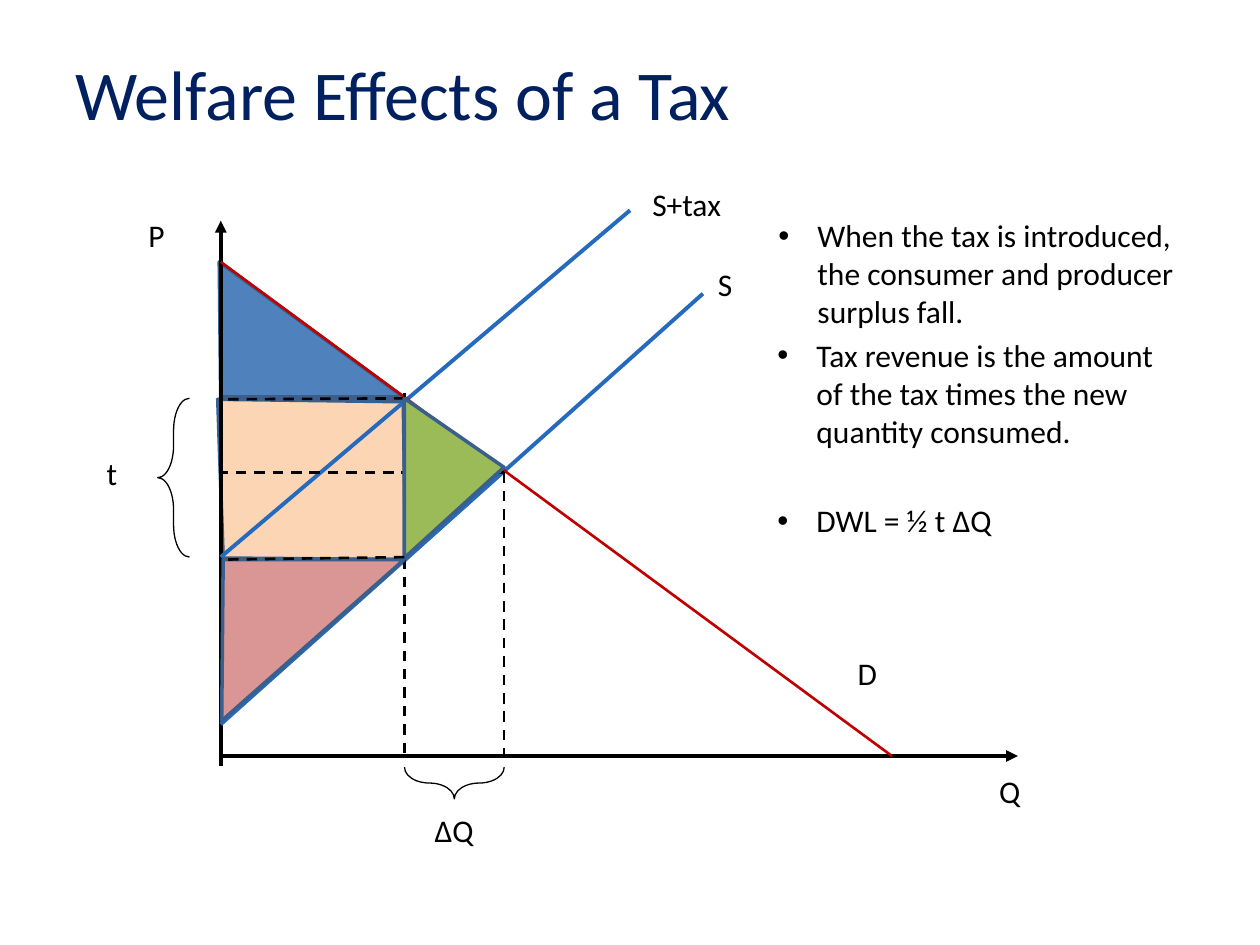
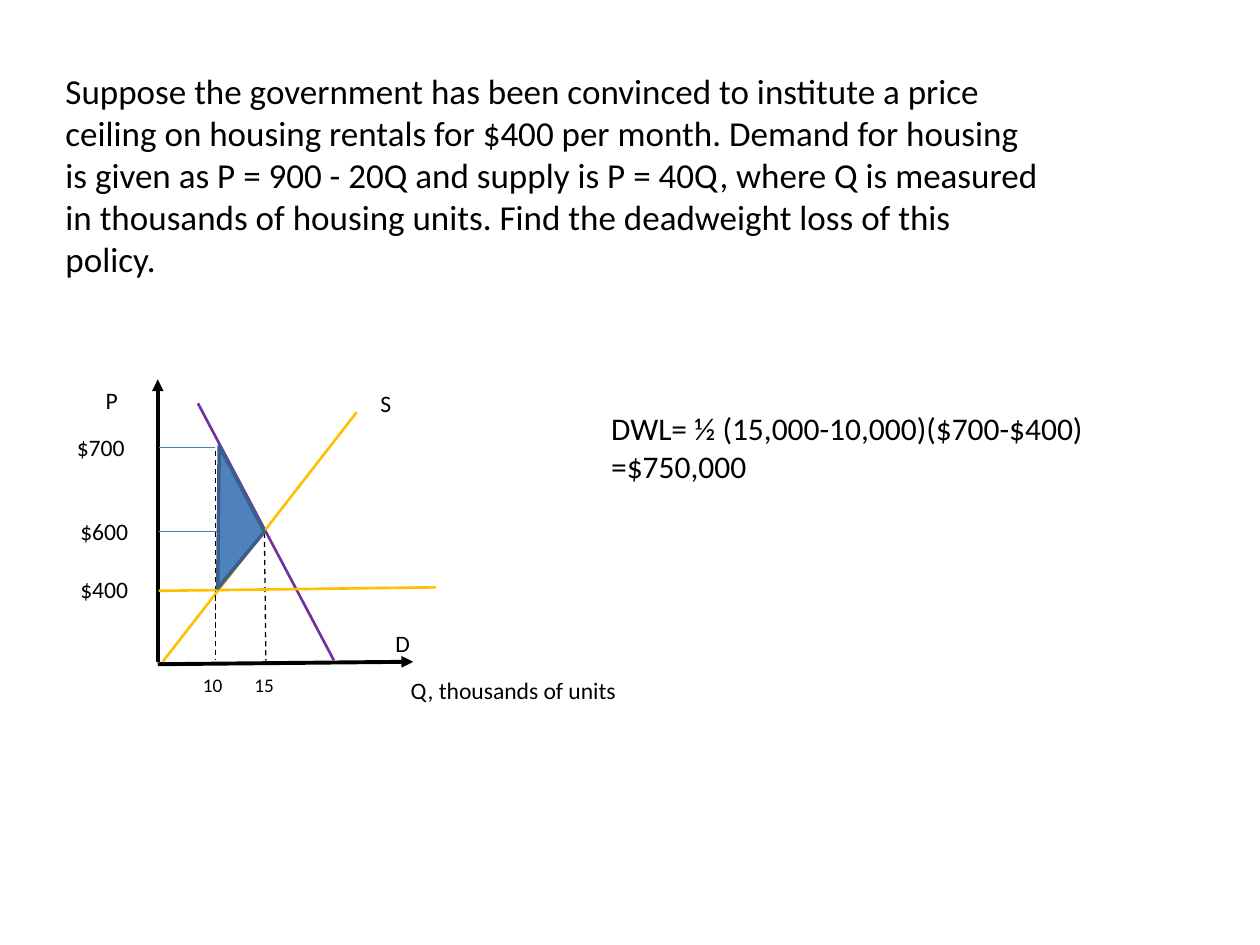
from dataclasses import dataclass
from typing import Optional

from lxml import etree
from pptx import Presentation
from pptx.dml.color import RGBColor
from pptx.enum.dml import MSO_LINE
from pptx.enum.shapes import MSO_CONNECTOR, MSO_SHAPE
from pptx.enum.text import MSO_ANCHOR
from pptx.oxml.ns import qn
from pptx.util import Cm, Pt

STRAIGHT = MSO_CONNECTOR.STRAIGHT
LEFT_BRACE = MSO_SHAPE.LEFT_BRACE
DASH = MSO_LINE.DASH
MIDDLE, TOP = MSO_ANCHOR.MIDDLE, MSO_ANCHOR.TOP


@dataclass(frozen=True)
class Theme:
    font: str = "Calibri"
    ink: str = "000000"
    title: str = "002060"
    supply: str = "256ABD"
    demand: str = "C00000"
    housing_supply: str = "FFC000"
    housing_demand: str = "7030A0"
    guide: str = "4B7EBC"
    outline: str = "3A5F8C"
    blue: str = "4F81BD"
    peach: str = "FCD5B5"
    rose: str = "D99694"
    green: str = "9BBB59"
    title_pt: float = 40
    question_pt: float = 20
    body_pt: float = 18
    small_pt: float = 13.5
    tick_pt: float = 11
    axis_pt: float = 2.25
    curve_pt: float = 1.5
    area_pt: float = 2
    thin_pt: float = 0.75


T = Theme()


@dataclass(frozen=True)
class Line:
    """A straight line; all coordinates are centimetres."""
    x1: float
    y1: float
    x2: float
    y2: float
    color: str = T.ink
    width: float = T.curve_pt
    dash: bool = False
    arrow: bool = False


@dataclass(frozen=True)
class Label:
    text: str
    x: float
    y: float
    w: float = 0.86
    h: float = 1.02
    size: float = T.body_pt
    bullet: bool = False


@dataclass(frozen=True)
class Area:
    fill: str
    points: tuple[tuple[float, float], ...]


@dataclass(frozen=True)
class Brace:
    x: float
    y: float
    w: float
    h: float
    rotation: float = 0


def rgb(color: str) -> RGBColor:
    return RGBColor.from_string(color)


def add_text(slide, text: str, x: float, y: float, w: float, h: float, *,
             size: float = T.body_pt, color: str = T.ink,
             anchor=TOP, bullet: bool = False) -> None:
    """Add a wrapped text box; each line of text becomes a paragraph."""
    tf = slide.shapes.add_textbox(Cm(x), Cm(y), Cm(w), Cm(h)).text_frame
    tf.word_wrap = True
    tf.vertical_anchor = anchor
    for i, line in enumerate(text.split("\n")):
        p = tf.add_paragraph() if i else tf.paragraphs[0]
        r = p.add_run()
        r.text = line
        r.font.name = T.font
        r.font.size = Pt(size)
        r.font.color.rgb = rgb(color)
        if bullet:
            pPr = p._p.get_or_add_pPr()
            pPr.set("marL", str(Cm(0.79)))
            pPr.set("indent", str(-Cm(0.79)))
            etree.SubElement(pPr, qn("a:buFont"), typeface="Arial")
            etree.SubElement(pPr, qn("a:buChar"), char="•")


def draw_labels(slide, labels: list[Label]) -> None:
    for b in labels:
        add_text(slide, b.text, b.x, b.y, b.w, b.h, size=b.size, bullet=b.bullet)


def draw_lines(slide, lines: list[Line]) -> None:
    for ln in lines:
        s = slide.shapes.add_connector(
            STRAIGHT, Cm(ln.x1), Cm(ln.y1), Cm(ln.x2), Cm(ln.y2))
        s.line.color.rgb = rgb(ln.color)
        s.line.width = Pt(ln.width)
        if ln.dash:
            s.line.dash_style = DASH
        if ln.arrow:
            etree.SubElement(s.line._get_or_add_ln(), qn("a:tailEnd"), type="triangle")
        etree.SubElement(s._element.spPr, qn("a:effectLst"))


def style_shape(sp, fill: Optional[str], line: str, width: float) -> None:
    sp.shadow.inherit = False
    if fill:
        sp.fill.solid()
        sp.fill.fore_color.rgb = rgb(fill)
    else:
        sp.fill.background()
    sp.line.color.rgb = rgb(line)
    sp.line.width = Pt(width)


def draw_areas(slide, areas: list[Area]) -> None:
    for area in areas:
        start, *rest = [(Cm(x), Cm(y)) for x, y in area.points]
        fb = slide.shapes.build_freeform(*start)
        fb.add_line_segments(rest, close=True)
        style_shape(fb.convert_to_shape(), area.fill, T.outline, T.area_pt)


def draw_braces(slide, braces: list[Brace]) -> None:
    for b in braces:
        sp = slide.shapes.add_shape(LEFT_BRACE, Cm(b.x), Cm(b.y), Cm(b.w), Cm(b.h))
        sp.adjustments[0] = 1.007
        sp.rotation = b.rotation
        style_shape(sp, None, T.ink, T.thin_pt)


def tax_slide(prs) -> None:
    slide = prs.slides.add_slide(prs.slide_layouts[6])
    axis_x, axis_y = 4.45, 15.24
    q_tax, q_free = 8.15, 10.16
    p_free = 9.52
    draw_areas(slide, [
        Area(T.blue, ((4.42, 5.28), (8.13, 8), (axis_x, 8))),
        Area(T.blue, ((4.42, 8.05), (8.13, 8.05), (10.19, 9.5), (axis_x, 9.5))),
        Area(T.rose, ((axis_x, 9.5), (10.21, 9.45), (8.1, 11.35), (4.5, 11.4))),
        Area(T.peach, ((4.39, 8.05), (8.13, 8.1), (8.18, 11.28), (4.5, 11.25))),
    ])
    add_text(slide, "Welfare Effects of a Tax", 1.27, 0.76, 22.86, 2.21,
             size=T.title_pt, color=T.title, anchor=MIDDLE)
    draw_lines(slide, [
        Line(axis_x, axis_y, 20.52, axis_y, width=T.axis_pt, arrow=True),
        Line(axis_x, 15.44, axis_x, axis_x, width=T.axis_pt, arrow=True),
        Line(axis_x, 14.6, 14.17, 5.92, T.supply, T.axis_pt),
        Line(axis_x, 11.23, 12.7, 4.24, T.supply, T.axis_pt),
        Line(axis_x, 5.28, 17.98, axis_y, T.demand),
        Line(q_tax, 7.92, q_tax, axis_y, dash=True),
        Line(q_free, p_free, q_free, axis_y, dash=True),
        Line(q_free, p_free, axis_x, p_free, dash=True),
        Line(q_tax, 8.03, axis_x, 8.05, dash=True),
    ])
    draw_areas(slide, [
        Area(T.rose, ((4.5, 11.28), (q_tax, 11.28), (4.47, 14.53))),
        Area(T.green, ((q_tax, 8.03), (q_free, 9.42), (q_tax, 11.25))),
    ])
    draw_lines(slide, [Line(q_tax, 11.23, 4.5, 11.28, dash=True)])
    draw_braces(slide, [
        Brace(3.18, 8.03, 0.64, 3.2),
        Brace(8.84, 14.78, 0.64, 2.01, rotation=270),
    ])
    draw_labels(slide, [
        Label("S+tax", 12.9, 3.61, 2.97),
        Label("S", 14.22, 5.21),
        Label("D", 17.04, 13.06),
        Label("t", 1.9, 9.02),
        Label("P", 2.74, 4.24),
        Label("Q", 19.89, 15.44),
        Label("ΔQ", 8.51, 16.23, 1.6),
        Label("When the tax is introduced, the consumer and producer surplus fall.",
              15.44, 4.24, 8.69, 2.57, bullet=True),
        Label("Tax revenue is the amount of the tax times the new quantity consumed.",
              15.42, 6.65, 8.69, 3.33, bullet=True),
        Label("DWL = ½ t ΔQ", 15.42, 9.98, 8.69, bullet=True),
    ])


def price_ceiling_slide(prs) -> None:
    slide = prs.slides.add_slide(prs.slide_layouts[6])
    axis_x, base_y = 3.18, 13.31
    small = {"h": 0.84, "size": T.small_pt}
    tick = {"w": 1.4, "h": 0.74, "size": T.tick_pt}
    add_text(slide,
             "Suppose the government has been convinced to institute a price "
             "ceiling on housing rentals for $400 per month. Demand for housing "
             "is given as P = 900 - 20Q and supply is P = 40Q, where Q is measured "
             "in thousands of housing units. Find the deadweight loss of this policy.",
             1.07, 1.27, 20.27, 3.68, size=T.question_pt)
    draw_lines(slide, [
        Line(axis_x, 13.34, axis_x, 7.65, width=T.axis_pt, arrow=True),
        Line(axis_x, 13.39, 8.33, 13.34, width=T.axis_pt, arrow=True),
        Line(3.99, 8.13, 6.73, base_y, T.housing_demand),
        Line(3.28, 13.34, 7.19, 8.31, T.housing_supply),
        Line(5.33, 10.74, 5.36, base_y, width=T.thin_pt, dash=True),
        Line(4.34, 9.09, 4.34, base_y, width=T.thin_pt, dash=True),
        Line(3.2, 11.91, 8.79, 11.84, T.housing_supply),
        Line(5.28, 10.72, axis_x, 10.72, T.guide, T.thin_pt),
        Line(4.34, 9.02, 3.2, 9.02, T.guide, T.thin_pt),
    ])
    draw_labels(slide, [
        Label("P", 1.88, 7.65, **small),
        Label("Q, thousands of units", 8.03, 13.51, 4.88, **small),
        Label("S", 7.42, 7.72, **small),
        Label("D", 7.72, 12.55, **small),
        Label("$400", 1.37, 11.46, 1.6, **small),
        Label("$600", 1.37, 10.29, 1.6, **small),
        Label("$700", 1.3, 8.61, 1.6, **small),
        Label("10", 3.84, 13.44, **tick),
        Label("15", 4.88, 13.44, **tick),
        Label("DWL= ½ (15,000-10,000)($700-$400)\n=$750,000", 12.07, 8.13, 11, 1.8),
    ])
    draw_areas(slide, [Area(T.blue, ((4.42, 8.99), (5.33, 10.72), (4.39, 11.86)))])


def main() -> None:
    prs = Presentation()
    prs.slide_width, prs.slide_height = Cm(25.4), Cm(19.05)
    tax_slide(prs)
    price_ceiling_slide(prs)
    prs.save("out.pptx")


if __name__ == "__main__":
    main()
